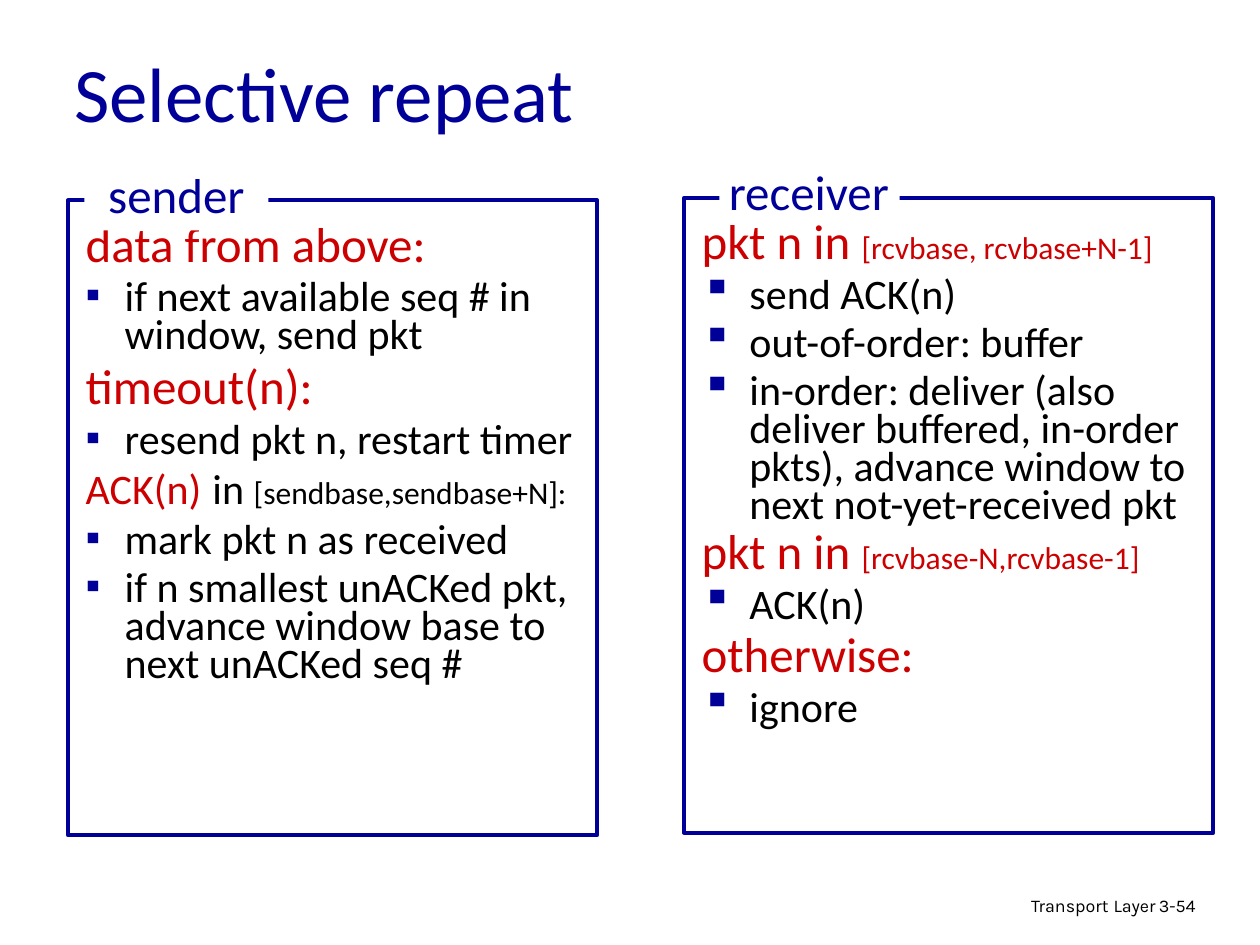
from lxml import etree
from pptx import Presentation
from pptx import util as u
from pptx.dml.color import RGBColor
from pptx.enum import shapes, text
from pptx.oxml.ns import qn

BLUE, RED, BLACK, WHITE = "000099", "CC0000", "000000", "FFFFFF"

SEND = [
    (7, [("data from above:", 28, RED)]),
    "if next available seq # in window, send pkt",
    (7, [("timeout(n):", 28, RED)]),
    "resend pkt n, restart timer",
    (4.5, [("ACK(n)", 24, RED), (" ", 28, RED), ("in ", 24, BLACK),
           ("[sendbase,sendbase+N]:", 18, BLACK)]),
    "mark pkt n as received",
    "if n smallest unACKed pkt, advance window base to next unACKed seq #",
]
RECV = [
    (4.5, [("pkt n in ", 28, RED), ("[rcvbase, rcvbase+N-1]", 18, RED)]),
    "send ACK(n)",
    "out-of-order: buffer",
    "in-order: deliver (also deliver buffered, in-order pkts), "
    "advance window to next not-yet-received pkt",
    (4.5, [("pkt n in ", 28, RED), ("[rcvbase-N,rcvbase-1]", 18, RED)]),
    "ACK(n)",
    (6, [("otherwise:", 28, RED)]),
    "ignore",
]
FOOT = [
    ([("Transport", 10.2), (" ", 11.9), ("Layer", 10.2)],
     (6.1, 7.05, 3.17, 0.31), text.PP_ALIGN.RIGHT),
    ([("3-54", 10.2)], (9.1, 7.07, 0.74, 0.3), text.PP_ALIGN.LEFT),
]


def color(code):
    return RGBColor.from_string(code)


def place(shape, box):
    shape.left, shape.top, shape.width, shape.height = map(u.Inches, box)


def style(run, size, code, face="Calibri"):
    run.font.size = u.Pt(size)
    run.font.name = face
    run.font.color.rgb = color(code)


def add_run(para, words, size, code, face="Calibri"):
    run = para.add_run()
    run.text = words
    style(run, size, code, face)


def mark(para, indent, bullet):
    props = para._p.get_or_add_pPr()
    props.set("marL", str(u.Inches(indent)))
    props.set("indent", str(u.Inches(-indent)))
    if bullet:
        tint = etree.SubElement(props, qn("a:buClr"))
        etree.SubElement(tint, qn("a:srgbClr"), val=BLUE)
        etree.SubElement(props, qn("a:buChar"), char="▪")
    else:
        etree.SubElement(props, qn("a:buNone"))


def fill_list(frame, items, indent):
    frame.word_wrap = True
    frame.auto_size = text.MSO_AUTO_SIZE.NONE
    for i, item in enumerate(items):
        para = frame.add_paragraph() if i else frame.paragraphs[0]
        bullet = isinstance(item, str)
        gap, runs = (6, [(item, 24, BLACK)]) if bullet else item
        mark(para, indent, bullet)
        para.line_spacing = 0.75
        para.space_before = u.Pt(gap if i else 0)
        for run in runs:
            add_run(para, *run)


def add_rect(slide, box, fill=None, line=None):
    rect = slide.shapes.add_shape(shapes.MSO_SHAPE.RECTANGLE, *map(u.Inches, box))
    rect.shadow.inherit = False
    if fill:
        rect.fill.solid()
        rect.fill.fore_color.rgb = color(fill)
    else:
        rect.fill.background()
    if line:
        rect.line.color.rgb = color(line)
        rect.line.width = u.Pt(2.25)
    else:
        rect.line.fill.background()
    return rect


def label(shape, words):
    frame = shape.text_frame
    frame.text = words
    frame.word_wrap = False
    frame.vertical_anchor = text.MSO_ANCHOR.TOP
    para = frame.paragraphs[0]
    para.alignment = text.PP_ALIGN.CENTER
    style(para.runs[0], 28, BLUE)


def main():
    deck = Presentation()
    deck.slide_width, deck.slide_height = u.Inches(10), u.Inches(7.5)
    slide = deck.slides.add_slide(deck.slide_layouts[1])
    title, body = slide.placeholders

    for runs, box, align in FOOT:
        foot = slide.shapes.add_textbox(*map(u.Inches, box)).text_frame
        foot.word_wrap = True
        para = foot.paragraphs[0]
        para.alignment = align
        para.line_spacing = 0.9
        for words, size in runs:
            add_run(para, words, size, BLACK, "Karla")

    place(title, (0.49, 0.27, 8.5, 0.92))
    title.text_frame.text = "Selective repeat"
    title.text_frame.vertical_anchor = text.MSO_ANCHOR.MIDDLE
    head = title.text_frame.paragraphs[0]
    head.alignment = text.PP_ALIGN.LEFT
    style(head.runs[0], 44, BLUE)

    place(body, (0.58, 1.75, 4.17, 5.08))
    fill_list(body.text_frame, SEND, 0.31)
    add_rect(slide, (0.54, 1.59, 4.2, 5.04), line=BLUE)
    label(add_rect(slide, (0.67, 1.26, 1.46, 0.57), fill=WHITE), "sender")

    right = slide.shapes.add_textbox(*map(u.Inches, (5.47, 1.73, 4.17, 5.08)))
    fill_list(right.text_frame, RECV, 0.38)
    add_rect(slide, (5.43, 1.57, 4.2, 5.04), line=BLUE)
    add_rect(slide, (5.71, 1.42, 1.43, 0.31), fill=WHITE)
    label(slide.shapes.add_textbox(*map(u.Inches, (5.59, 1.23, 1.66, 0.57))), "receiver")

    deck.save("out.pptx")


if __name__ == "__main__":
    main()
